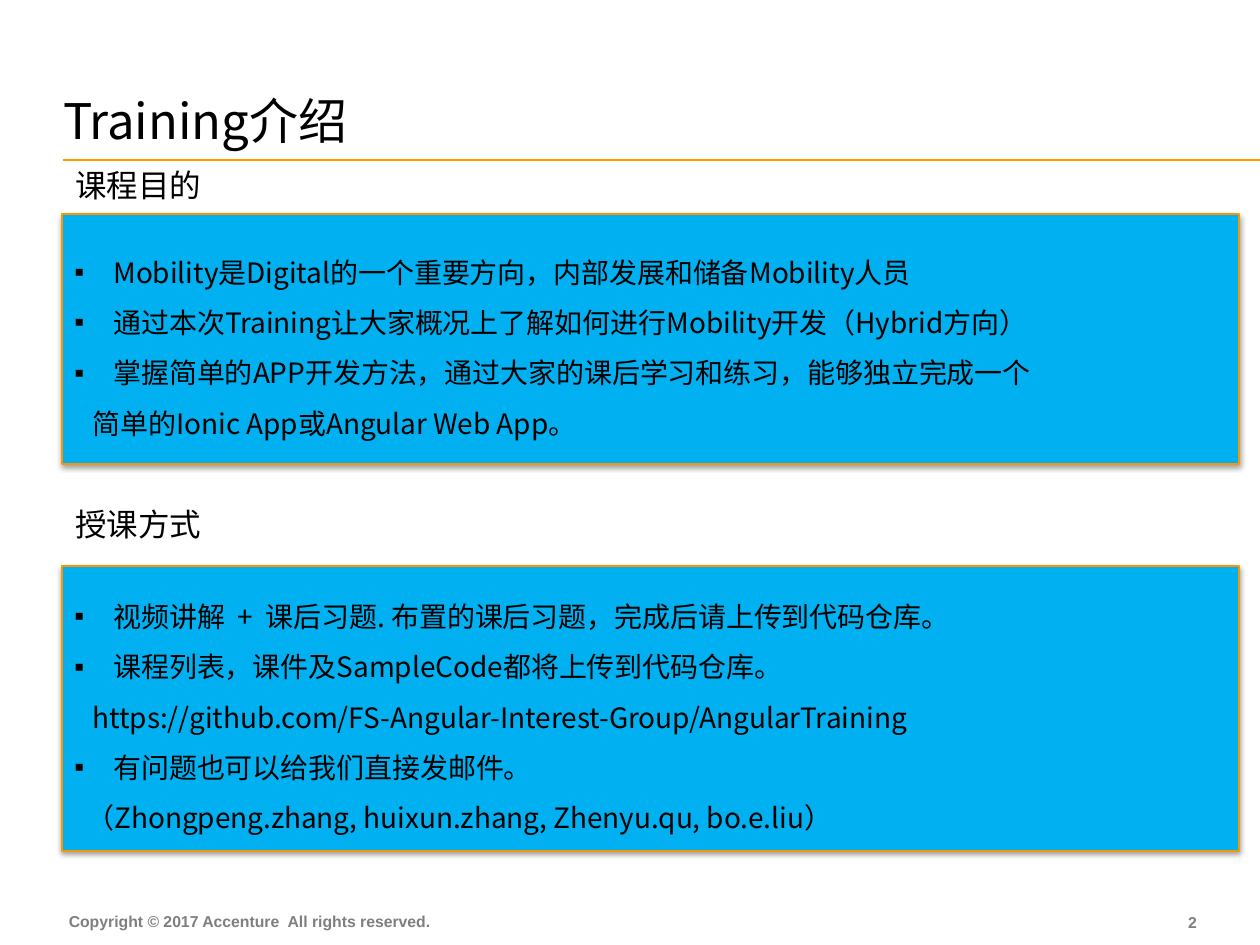
from lxml import etree
from pptx import Presentation
from pptx.dml.color import RGBColor
from pptx.enum.shapes import MSO_CONNECTOR, MSO_SHAPE
from pptx.enum.text import MSO_ANCHOR, MSO_AUTO_SIZE, PP_ALIGN
from pptx.oxml.ns import qn
from pptx.util import Emu, Pt

STRAIGHT, RECT = MSO_CONNECTOR.STRAIGHT, MSO_SHAPE.RECTANGLE
TOP, MIDDLE = MSO_ANCHOR.TOP, MSO_ANCHOR.MIDDLE
LEFT, CENTER, RIGHT = PP_ALIGN.LEFT, PP_ALIGN.CENTER, PP_ALIGN.RIGHT
NO_FIT = MSO_AUTO_SIZE.NONE

BLACK = RGBColor(0x00, 0x00, 0x00)
GRAY = RGBColor(0x7F, 0x7F, 0x7F)
BLUE = RGBColor(0x00, 0xB0, 0xF0)
ORANGE = RGBColor(0xFF, 0x99, 0x00)
EDGE = RGBColor(0xF9, 0x96, 0x00)
CJK, LATIN = "Noto Sans CJK SC", "Arial"

PX_PER_INCH = 126
BULLET = 39  # hanging indent of bulleted lines, px

# Panel lines: (text, left indent in px); BULLET marks a bulleted line
GOALS = [
    ("Mobility是Digital的一个重要方向，内部发展和储备Mobility人员", BULLET),
    ("通过本次Training让大家概况上了解如何进行Mobility开发（Hybrid方向）", BULLET),
    ("掌握简单的APP开发方法，通过大家的课后学习和练习，能够独立完成一个", BULLET),
    ("简单的Ionic App或Angular Web App。", 18),
]
METHODS = [
    ("视频讲解  +  课后习题. 布置的课后习题，完成后请上传到代码仓库。", BULLET),
    ("课程列表，课件及SampleCode都将上传到代码仓库。", BULLET),
    ("https://github.com/FS-Angular-Interest-Group/AngularTraining", 18),
    ("有问题也可以给我们直接发邮件。", BULLET),
    ("（Zhongpeng.zhang, huixun.zhang, Zhenyu.qu, bo.e.liu）", 12),
]


def px(n):
    return Emu(round(n * 914400 / PX_PER_INCH))


def box(*lengths):
    return [px(n) for n in lengths]


def add_run(p, text, size, color=BLACK, font=CJK, bold=False):
    r = p.add_run()
    r.text = text
    r.font.size, r.font.name, r.font.bold = Pt(size), font, bold
    r.font.color.rgb = color
    ea = etree.SubElement(r.font._element, qn("a:ea"))
    ea.set("typeface", CJK)


def set_margins(tf, left, top, right, bottom):
    tf.margin_left, tf.margin_top, tf.margin_right, tf.margin_bottom = box(
        left, top, right, bottom)


def set_indent(p, indent):
    pPr = p._p.get_or_add_pPr()
    pPr.set("marL", str(px(indent)))
    if indent == BULLET:
        pPr.set("indent", str(-px(indent)))
        etree.SubElement(pPr, qn("a:buFont")).set("typeface", LATIN)
        etree.SubElement(pPr, qn("a:buChar")).set("char", "▪")


def add_shadow(sp):
    sp.shadow.inherit = False
    effects = sp._element.spPr.find(qn("a:effectLst"))
    shadow = etree.SubElement(effects, qn("a:outerShdw"), blurRad=str(Pt(3.1)),
                              dist=str(Pt(1.6)), dir="5400000", rotWithShape="0")
    color = etree.SubElement(shadow, qn("a:srgbClr"), val=str(BLACK))
    etree.SubElement(color, qn("a:alpha"), val="38000")


def add_title(s, text):
    sp = s.shapes.title
    sp.left, sp.top, sp.width, sp.height = box(63, 73, 1130, 108)
    tf = sp.text_frame
    tf.auto_size, tf.vertical_anchor, tf.word_wrap = NO_FIT, MIDDLE, True
    set_margins(tf, 0, 0, 0, 0)
    p = tf.paragraphs[0]
    p.alignment, p.line_spacing = LEFT, Pt(26)
    add_run(p, text, 28)


def add_rule(s, x1, x2, y):
    line = s.shapes.add_connector(STRAIGHT, *box(x1, y, x2, y))
    line.line.color.rgb, line.line.width = ORANGE, Pt(1)
    etree.SubElement(line._element.spPr, qn("a:effectLst"))


def add_heading(s, text, top):
    tf = s.shapes.add_textbox(*box(63, top, 189, 50)).text_frame
    tf.word_wrap = True
    add_run(tf.paragraphs[0], text, 18, font=LATIN)


def add_panel(s, lines, top, height):
    sp = s.shapes.add_shape(RECT, *box(62, top, 1177, height))
    sp.fill.solid()
    sp.fill.fore_color.rgb = BLUE
    sp.line.color.rgb, sp.line.width = EDGE, Pt(0.75)
    add_shadow(sp)
    tf = sp.text_frame
    tf.word_wrap, tf.vertical_anchor = True, MIDDLE
    for i, (text, indent) in enumerate(lines):
        p = tf.add_paragraph() if i else tf.paragraphs[0]
        p.alignment, p.line_spacing = LEFT, 1.5
        set_indent(p, indent)
        add_run(p, text, 16)


def add_footer(s, text, place, align, anchor, margins):
    tf = s.shapes.add_textbox(*box(*place)).text_frame
    tf.word_wrap, tf.vertical_anchor = True, anchor
    set_margins(tf, *margins)
    p = tf.paragraphs[0]
    p.alignment = align
    add_run(p, text, 9, GRAY, LATIN, bold=True)


def main():
    prs = Presentation()
    prs.slide_width, prs.slide_height = box(1260, 945)
    s = prs.slides.add_slide(prs.slide_layouts[5])

    # Title and rule
    add_rule(s, 63, 1260, 160)
    add_title(s, "Training介绍")

    # Footer
    add_footer(s, "Copyright © 2017 Accenture  All rights reserved.",
               (37, 906, 438, 32), CENTER, TOP, (0, 6, 13, 6))
    add_footer(s, "2", (1123, 905, 74, 34), RIGHT, MIDDLE, (0, 0, 0, 0))

    # Course goals and teaching methods
    add_heading(s, "课程目的", 160)
    add_panel(s, GOALS, 214, 250)
    add_heading(s, "授课方式", 499)
    add_panel(s, METHODS, 566, 285)

    prs.save("out.pptx")


if __name__ == "__main__":
    main()
